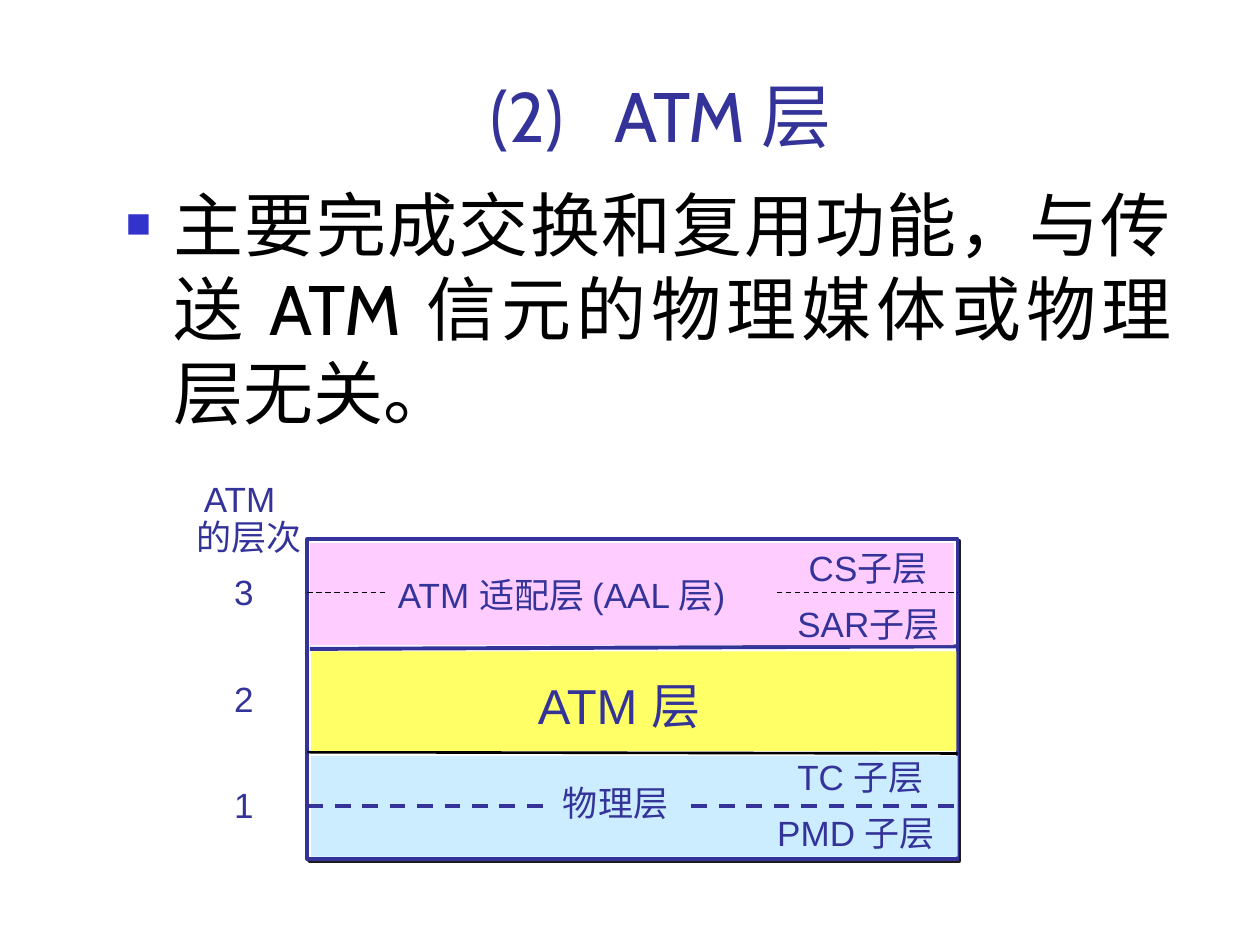
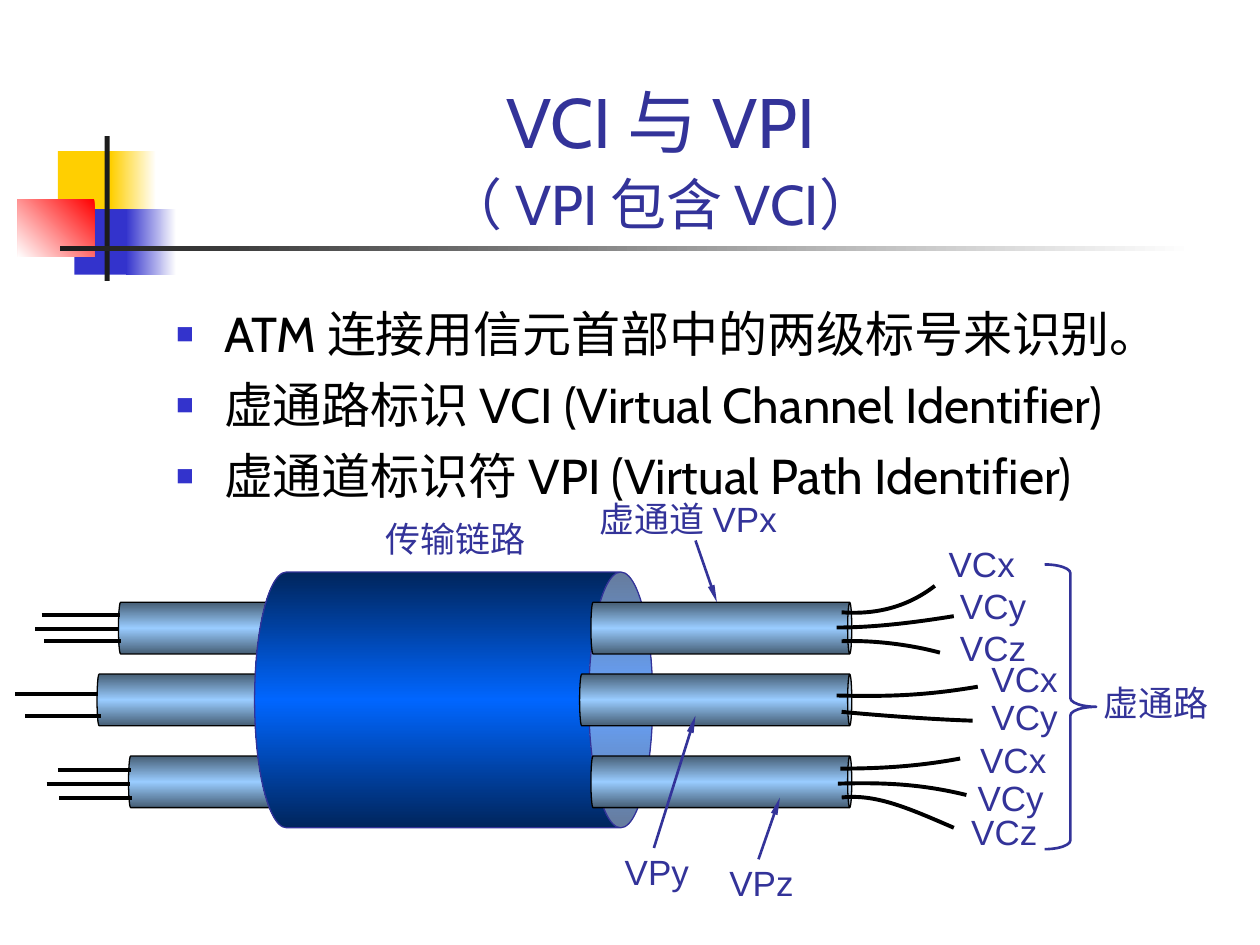
from lxml import etree
from pptx import Presentation
from pptx.dml.color import RGBColor
from pptx.enum.dml import MSO_LINE
from pptx.enum.shapes import MSO_CONNECTOR, MSO_SHAPE
from pptx.enum.text import MSO_ANCHOR, MSO_AUTO_SIZE, PP_ALIGN
from pptx.oxml.ns import qn
from pptx.util import Inches, Pt

COLS, ROWS = 10, 7.5  # the slide is a grid of one-inch cells
TITLE_FONT, LABEL_FONT = "Cabin", "Arial"
INDIGO, BLUE, BLACK, WHITE, INK = "333399", "3333CC", "000000", "FFFFFF", "1C1C1C"
YELLOW, RED = "FFCF01", "FF0000"
PINK, LEMON, SKY = "FFCCFF", "FFFF66", "CCECFF"
TUBE_SHADES = [(0, "465E75"), (50, "99CCFF"), (100, "465E75")]
DRUM_SHADES = [(0, "00255C"), (50, "0066FF"), (100, "00255C")]
LABEL_H, TUBE_H = 0.44, 0.41


def rgb(color):
    return RGBColor.from_string(color)


def cells(*values):
    return [Inches(v) for v in values]


def child(parent, tag, **attrs):
    return etree.SubElement(parent, qn(tag), {k: str(v) for k, v in attrs.items()})


def add_run(p, text, size, color, font):
    r = p.add_run()
    r.text = text
    r.font.size, r.font.name = Pt(size), font
    r.font.color.rgb = rgb(color)
    return r


def set_line(line, color, width, dash=None):
    line.color.rgb, line.width = rgb(color), Pt(width)
    if dash:
        line.dash_style = dash


def set_gradient(sp, stops, angle):
    """Fill with (percent, colour) stops along a clockwise angle fixed to the slide."""
    sp.fill.gradient()
    grad = sp._element.spPr.find(qn("a:gradFill"))
    grad.set("rotWithShape", "0")
    for old in list(grad):
        grad.remove(old)
    stop_list = child(grad, "a:gsLst")
    for percent, color in stops:
        stop = child(stop_list, "a:gs", pos=percent * 1000)
        child(stop, "a:srgbClr", val=color)
    child(grad, "a:lin", ang=angle * 60000, scaled=0)


def style(sp, fill=None, angle=0, line=None, width=0.75):
    """Set fill (hex, gradient stops or none) and outline, without a shadow."""
    sp.shadow.inherit = False
    if fill is None:
        sp.fill.background()
    elif isinstance(fill, str):
        sp.fill.solid()
        sp.fill.fore_color.rgb = rgb(fill)
    else:
        set_gradient(sp, fill, angle)
    if line:
        set_line(sp.line, line, width)
    else:
        sp.line.fill.background()
    return sp


def add_box(s, box, fill, angle=0, line=None, width=0.75):
    sp = s.shapes.add_shape(MSO_SHAPE.RECTANGLE, *cells(*box))
    return style(sp, fill, angle, line, width)


def add_hard_shadow(sp, color, distance):
    effects = sp._element.spPr.find(qn("a:effectLst"))
    shadow = child(effects, "a:outerShdw", dist=Pt(distance), dir=45 * 60000,
                   algn="ctr", rotWithShape=0)
    child(shadow, "a:srgbClr", val=color)


def add_line(s, start, end, color=BLACK, width=2.25, dash=None, arrow=False):
    c = s.shapes.add_connector(MSO_CONNECTOR.STRAIGHT, *cells(*start, *end))
    set_line(c.line, color, width, dash)
    if arrow:
        child(c.line._get_or_add_ln(), "a:tailEnd", type="triangle", w="sm", len="lg")
    child(c._element.spPr, "a:effectLst")


def add_label(s, left, top, width, text, size=20, height=LABEL_H, fill=None):
    if fill:
        sp = add_box(s, (left, top, width, height), fill)
    else:
        sp = s.shapes.add_textbox(*cells(left, top, width, height))
    tf = sp.text_frame
    tf.word_wrap, tf.auto_size = True, MSO_AUTO_SIZE.NONE
    tf.margin_right = 0
    tf.vertical_anchor = MSO_ANCHOR.TOP
    p = tf.paragraphs[0]
    p.alignment = PP_ALIGN.LEFT
    add_run(p, text, size, INDIGO, LABEL_FONT)
    return tf


def add_titled_slide(prs, top, height):
    """Add a slide and return it with the paragraph of its title."""
    s = prs.slides.add_slide(prs.slide_layouts.get_by_name("Title Only"))
    title = s.shapes.title
    title.left, title.top, title.width, title.height = cells(0.75, top, 8.99, height)
    tf = title.text_frame
    tf.word_wrap, tf.auto_size = True, MSO_AUTO_SIZE.NONE
    tf.vertical_anchor = MSO_ANCHOR.BOTTOM
    p = tf.paragraphs[0]
    p.alignment, p.line_spacing = PP_ALIGN.CENTER, 1.1
    return s, p


def add_title_run(p, text, size=40):
    return add_run(p, text, size, INDIGO, TITLE_FONT)


def add_bullets(s, box, size, items):
    tf = s.shapes.add_textbox(*cells(*box)).text_frame
    tf.word_wrap = True
    for i, text in enumerate(items):
        p = tf.add_paragraph() if i else tf.paragraphs[0]
        p.alignment = PP_ALIGN.JUSTIFY
        p.space_before = Pt(size / 4 if i else 0)
        pPr = p._p.get_or_add_pPr()
        pPr.set("marL", str(Inches(0.38)))
        pPr.set("indent", str(-Inches(0.38)))
        child(child(pPr, "a:buClr"), "a:srgbClr", val=BLUE)
        child(pPr, "a:buSzPct", val=60000)
        child(pPr, "a:buFont", typeface=LABEL_FONT)
        child(pPr, "a:buChar", char="■")
        add_run(p, text, size, BLACK, TITLE_FONT)


def add_corner_motif(s):
    add_box(s, (0.46, 1.2, 0.48, 0.52), YELLOW)
    add_box(s, (0.88, 1.2, 0.36, 0.52), [(0, WHITE), (100, YELLOW)], 180)
    add_box(s, (0.59, 1.66, 0.46, 0.52), BLUE)
    add_box(s, (1, 1.66, 0.4, 0.52), [(0, WHITE), (100, BLUE)], 180)
    add_box(s, (0.14, 1.58, 0.61, 0.46), [(0, RED), (100, WHITE)], 135)
    add_box(s, (0.83, 1.08, 0.04, 1.15), INK)
    add_box(s, (0.48, 1.95, 9, 0.04), [(0, WHITE), (100, INK)], 180)


def add_lying_can(s, left, top, length, thickness, shades, line, lid):
    """Place a can, turned to lie on its side, by the area it covers."""
    shift = (length - thickness) / 2
    sp = s.shapes.add_shape(MSO_SHAPE.CAN, *cells(left + shift, top - shift, thickness, length))
    sp.rotation, sp.adjustments[0] = 90, lid
    style(sp, shades, 90, line)


def add_curve(s, start, *controls):
    """Draw a wire as one cubic Bézier: lay out its polygon, then bend it."""
    builder = s.shapes.build_freeform(*cells(*start))
    builder.add_line_segments([cells(*c) for c in controls], close=False)
    sp = style(builder.convert_to_shape(), line=BLACK, width=2.25)
    outline = next(sp._element.iter(qn("a:path")))
    segments = outline.findall(qn("a:lnTo"))
    bend = child(outline, "a:cubicBezTo")
    for segment in segments:
        bend.append(segment[0])
        outline.remove(segment)


def build_atm_layer(prs):
    s, title = add_titled_slide(prs, 0.13, 1.16)
    add_title_run(title, "(2)")
    gap = add_title_run(title, " ")
    gap.font._element.set("spc", "2000")
    add_title_run(title, "ATM 层")

    left, right = 2.44, 7.6
    stack = add_box(s, (left, 4.28, right - left, 2.54), WHITE, line=INDIGO, width=2.25)
    add_hard_shadow(stack, INK, 1.4)
    add_line(s, (left, 5.97), (right, 5.98), width=1.5)
    add_line(s, (2.46, 5.15), (right, 5.13), INDIGO)
    add_box(s, (2.47, 6, 5.13, 0.8), SKY)
    add_line(s, (left, 6.4), (right, 6.4), INDIGO, dash=MSO_LINE.DASH)
    add_box(s, (2.47, 5.17, 5.12, 0.79), LEMON)
    add_box(s, (2.46, 4.31, 5.11, 0.81), PINK)
    add_line(s, (left, 4.7), (right, 4.7), width=0.75, dash=MSO_LINE.DASH)

    add_label(s, 4.17, 5.31, 1.61, "ATM 层", size=28, height=0.57)
    add_label(s, 4.37, 6.15, 1.03, "物理层", fill=SKY)
    add_label(s, 3.06, 4.5, 3.09, "ATM 适配层 (AAL 层)", fill=PINK)
    for x, y, width, sublayer in [(6.32, 4.29, 1.21, "CS子层"), (6.23, 4.73, 1.39, "SAR子层"),
                                  (6.23, 5.95, 1.27, "TC 子层"), (6.07, 6.39, 1.52, "PMD 子层")]:
        add_label(s, x, y, width, sublayer)
    for row, number in enumerate("321"):
        add_label(s, 1.76, 4.48 + 0.845 * row, 0.35, number)
    heading = add_label(s, 1.46, 3.78, 1.03, "ATM", height=0.7)
    heading.paragraphs[0]._p.get_or_add_pPr().set("marL", str(Inches(0.06)))
    add_run(heading.add_paragraph(), "的层次", 20, INDIGO, LABEL_FONT)
    for p in heading.paragraphs:
        p.line_spacing = 0.9
    add_bullets(s, (0.9, 1.39, 8.5, 2.29), 40,
                ["主要完成交换和复用功能，与传送 ATM 信元的物理媒体或物理层无关。"])


def build_vci_vpi(prs):
    s, title = add_titled_slide(prs, 0.28, 1.65)
    add_title_run(title, "VCI 与 VPI")
    title.add_line_break()
    add_title_run(title, "（ VPI 包含 VCI）", 32)
    add_corner_motif(s)
    add_bullets(s, (1.3, 2.36, 8.5, 2.28), 28,
                ["ATM 连接用信元首部中的两级标号来识别。",
                 "虚通路标识 VCI (Virtual Channel Identifier)",
                 "虚通道标识符 VPI (Virtual Path Identifier)"])

    tubes = [(4.78, 0.94, 4.69), (5.35, 0.77, 4.6), (6, 1.02, 4.69)]  # top, left end, right start
    for top, tube_in, _ in tubes:
        add_lying_can(s, tube_in, top, 2.33, TUBE_H, TUBE_SHADES, BLACK, 0.08)
    add_lying_can(s, 2.02, 4.54, 3.16, 2.03, DRUM_SHADES, INDIGO, 0.25)
    for top, _, tube_out in tubes:
        add_lying_can(s, tube_out, top, 6.76 - tube_out, TUBE_H, TUBE_SHADES, BLACK, 0.08)

    for x1, x2, y in [(0.33, 0.95, 4.88), (0.28, 0.94, 4.99), (0.35, 0.96, 5.09),
                      (0.12, 0.78, 5.51), (0.2, 0.8, 5.68),
                      (0.46, 1.04, 6.11), (0.37, 1.03, 6.22), (0.47, 1.05, 6.33)]:
        add_line(s, (x1, y), (x2, y))
    for wire in [((6.68, 4.86), (6.95, 4.88), (7.2, 4.82), (7.42, 4.65)),
                 ((6.64, 4.98), (6.9, 4.98), (7.2, 4.95), (7.57, 4.89)),
                 ((6.68, 5.09), (6.9, 5.08), (7.2, 5.11), (7.46, 5.18)),
                 ((6.64, 5.52), (7.05, 5.53), (7.35, 5.52), (7.76, 5.45)),
                 ((6.68, 5.65), (7, 5.68), (7.4, 5.71), (7.72, 5.72)),
                 ((6.67, 6.1), (7, 6.1), (7.3, 6.08), (7.62, 6.02)),
                 ((6.65, 6.22), (7, 6.21), (7.3, 6.22), (7.67, 6.31)),
                 ((6.68, 6.33), (6.95, 6.3), (7.2, 6.41), (7.57, 6.57))]:
        add_curve(s, *wire)

    add_label(s, 2.96, 4.06, 1.31, "传输链路")
    for x, y, width, path_name, start, end in [
            (4.66, 3.9, 1.67, "虚通道 VPx", (5.52, 4.29), (5.69, 4.78)),
            (5.69, 6.79, 0.71, "VPz", (6.02, 6.82), (6.19, 6.33)),
            (4.86, 6.7, 0.71, "VPy", (5.19, 6.73), (5.52, 5.68))]:
        add_label(s, x, y, width, path_name)
        add_line(s, start, end, INDIGO, 1.5, arrow=True)
    for x, y, channel in [(7.43, 4.26, "VCx"), (7.52, 4.59, "VCy"), (7.52, 4.92, "VCz"),
                          (7.77, 5.17, "VCx"), (7.77, 5.47, "VCy"),
                          (7.68, 5.81, "VCx"), (7.66, 6.11, "VCy"), (7.61, 6.38, "VCz")]:
        add_label(s, x, y, 0.72, channel)
    brace = s.shapes.add_shape(MSO_SHAPE.RIGHT_BRACE, *cells(8.29, 4.48, 0.41, 2.26))
    brace.adjustments[0] = 0.17
    style(brace, line=INDIGO, width=1.5)
    add_label(s, 8.66, 5.36, 1.03, "虚通路")


def main():
    prs = Presentation()
    prs.slide_width, prs.slide_height = cells(COLS, ROWS)
    build_atm_layer(prs)
    build_vci_vpi(prs)
    prs.save("out.pptx")


if __name__ == "__main__":
    main()
